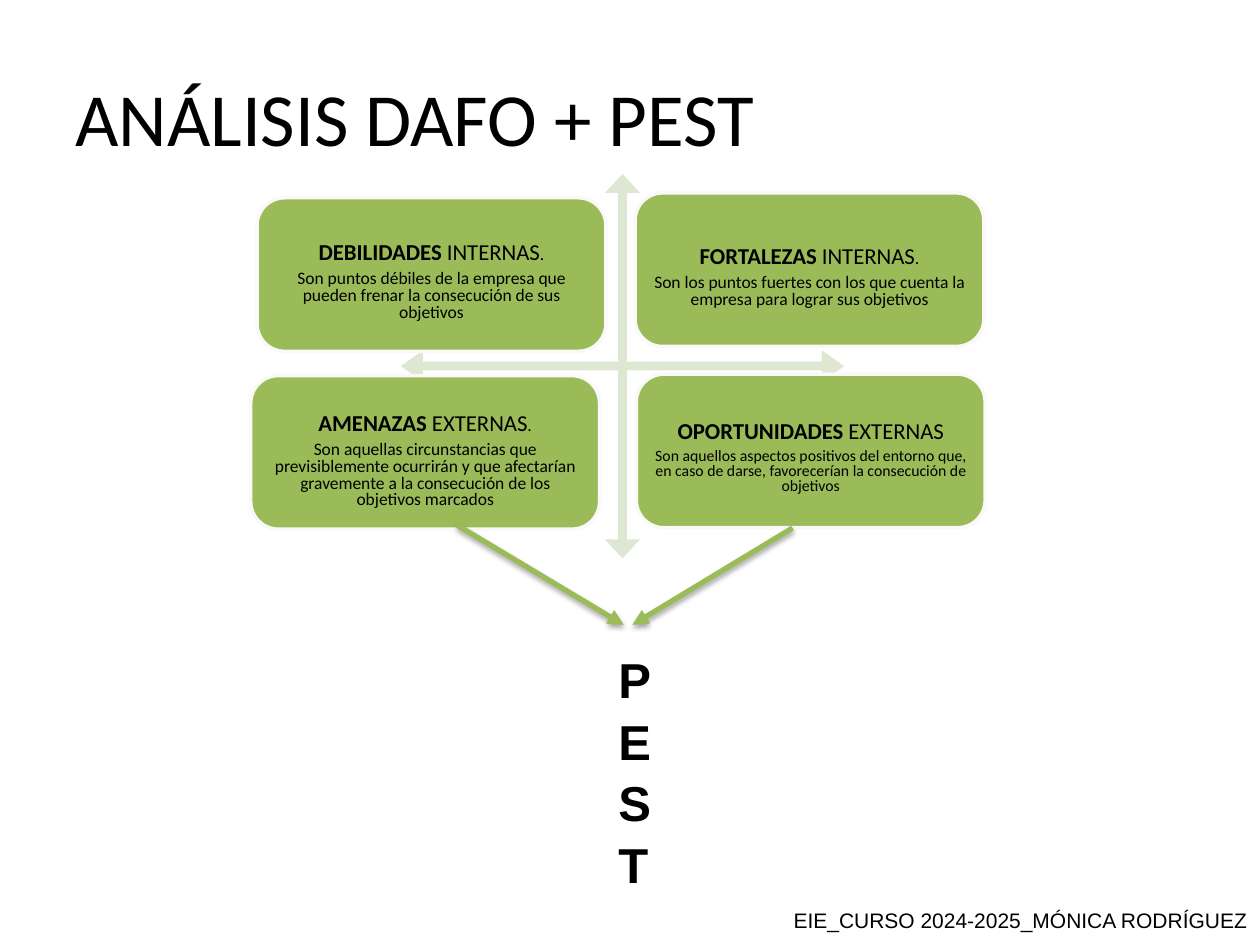
from lxml.etree import SubElement
from pptx import Presentation
from pptx.dml.color import RGBColor
from pptx.enum.shapes import MSO_CONNECTOR, MSO_SHAPE
from pptx.enum.text import MSO_ANCHOR, PP_ALIGN
from pptx.oxml import parse_xml
from pptx.oxml.ns import nsdecls, qn
from pptx.util import Pt

COLORS = {"text": "000000", "card": "9BBB59", "cross": "DEE7D1", "edge": "F9F9F9"}


def color(name):
    return RGBColor.from_string(COLORS[name])


def add_span(para, text, size, face="Calibri", bold=False):
    span = para.add_run()
    span.text = text
    for key, value in {"size": Pt(size), "name": face, "bold": bold}.items():
        setattr(span.font, key, value)
    span.font.color.rgb = color("text")


deck = Presentation()
deck.slide_width, deck.slide_height = Pt(720), Pt(540)
page = deck.slides.add_slide(deck.slide_layouts[6])

# Title, footer and the vertical word
texts = [
    ((36, 21.6, 648, 90), ["ANÁLISIS DAFO + PEST"], 42.9, "Calibri", False,
     MSO_ANCHOR.MIDDLE, {"alignment": PP_ALIGN.LEFT}),
    ((342.7, 511.2, 377.3, 28.8), ["EIE_CURSO 2024-2025_MÓNICA RODRÍGUEZ"], 12, "Arial", False,
     MSO_ANCHOR.MIDDLE, {"alignment": PP_ALIGN.RIGHT}),
    ((346.3, 365.8, 33.1, 143.3), list("PEST"), 28, "Arial", True,
     MSO_ANCHOR.TOP, {"alignment": PP_ALIGN.LEFT, "line_spacing": 1.05}),
]
for place, lines, size, face, bold, anchor, layout in texts:
    frame = page.shapes.add_textbox(*map(Pt, place)).text_frame
    frame.word_wrap = True
    frame.vertical_anchor = anchor
    for index, line in enumerate(lines):
        para = frame.add_paragraph() if index else frame.paragraphs[0]
        for key, value in layout.items():
            setattr(para, key, value)
        add_span(para, line, size, face, bold)

# Four-headed cross: one quarter, mirrored into the others
center_x, center_y, shaft = 355.7, 209.2, 2.5
quarter = [(0, -109.8), (10, -99), (shaft, -99), (shaft, -shaft),
           (114, -shaft), (114, -9), (126.7, 0)]
right = quarter + [(x, -y) for x, y in reversed(quarter[:-1])]
outline = right + [(-x, y) for x, y in reversed(right[1:-1])]
points = [(Pt(center_x + x), Pt(center_y + y)) for x, y in outline]
builder = page.shapes.build_freeform(*points[0])
builder.add_line_segments(points[1:], close=True)
cross = builder.convert_to_shape()
cross.shadow.inherit = False
cross.fill.solid()
cross.fill.fore_color.rgb = color("cross")
cross.line.fill.background()

# Cards: left, top, text inset from the top, heading, body, body size, body line pitch
cards = [
    (146.9, 113, 18, ("DEBILIDADES", " INTERNAS", "."),
     "Son puntos débiles de la empresa que pueden frenar la consecución de sus objetivos",
     10, 9.6),
    (362.9, 110.2, 23, ("FORTALEZAS", " INTERNAS", "."),
     "Son los puntos fuertes con los que cuenta la empresa para lograr sus objetivos",
     10, 9.6),
    (143.3, 214.6, 14, ("AMENAZAS", " EXTERNAS", "."),
     "Son aquellas circunstancias que previsiblemente ocurrirán y que afectarían "
     "gravemente a la consecución de los objetivos marcados",
     10, 9.6),
    (363.6, 213.8, 19.5, ("OPORTUNIDADES", " EXTERNAS", ""),
     "Son aquellos aspectos positivos del entorno que, en caso de darse, "
     "favorecerían la consecución de objetivos",
     9, 8.4),
]
for left, top, inset, (word, scope, stop), body, size, pitch in cards:
    card = page.shapes.add_shape(MSO_SHAPE.ROUNDED_RECTANGLE,
                                 Pt(left), Pt(top), Pt(199.4), Pt(87.8))
    card.adjustments[0] = 0.18
    card.shadow.inherit = False
    card.fill.solid()
    card.fill.fore_color.rgb = color("card")
    card.line.color.rgb = color("edge")
    card.line.width = Pt(2)
    frame = card.text_frame
    margins = {"margin_left": Pt(5), "margin_right": Pt(5), "margin_top": Pt(inset),
               "margin_bottom": Pt(0), "word_wrap": True, "vertical_anchor": MSO_ANCHOR.TOP}
    for key, value in margins.items():
        setattr(frame, key, value)
    heading, detail = frame.paragraphs[0], frame.add_paragraph()
    for para, spacing in ((heading, 16), (detail, pitch)):
        para.alignment = PP_ALIGN.CENTER
        para.line_spacing = Pt(spacing)
    heading.space_after = Pt(3.4)
    add_span(heading, word, 13, bold=True)
    add_span(heading, scope, 13)
    if stop:
        add_span(heading, stop, 10)
    add_span(detail, body, size)

# Arrows from the external factors down to PEST
for ends in ((261.4, 300.2, 356.4, 357.1), (452.9, 301.7, 361.4, 357.1)):
    arrow = page.shapes.add_connector(MSO_CONNECTOR.STRAIGHT, *map(Pt, ends))
    arrow.line.color.rgb = color("card")
    arrow.line.width = Pt(3)
    SubElement(arrow.line._get_or_add_ln(), qn("a:tailEnd"), type="triangle")
    arrow._element.spPr.append(parse_xml(
        f'<a:effectLst {nsdecls("a")}><a:outerShdw blurRad="{Pt(3.1)}" dist="{Pt(1.8)}" '
        f'dir="5400000" rotWithShape="0"><a:srgbClr val="{COLORS["text"]}">'
        '<a:alpha val="35000"/></a:srgbClr></a:outerShdw></a:effectLst>'))

deck.save("out.pptx")
